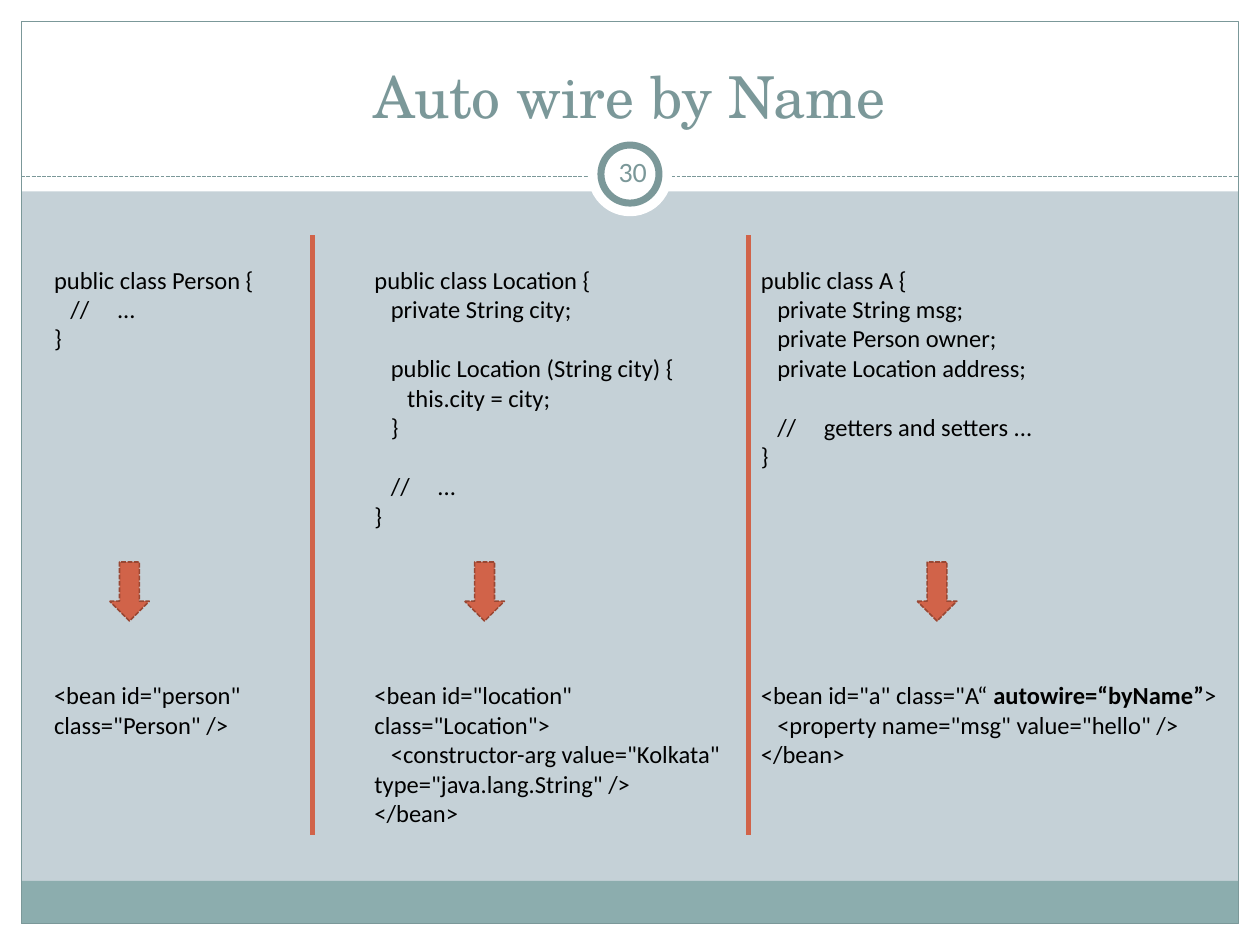
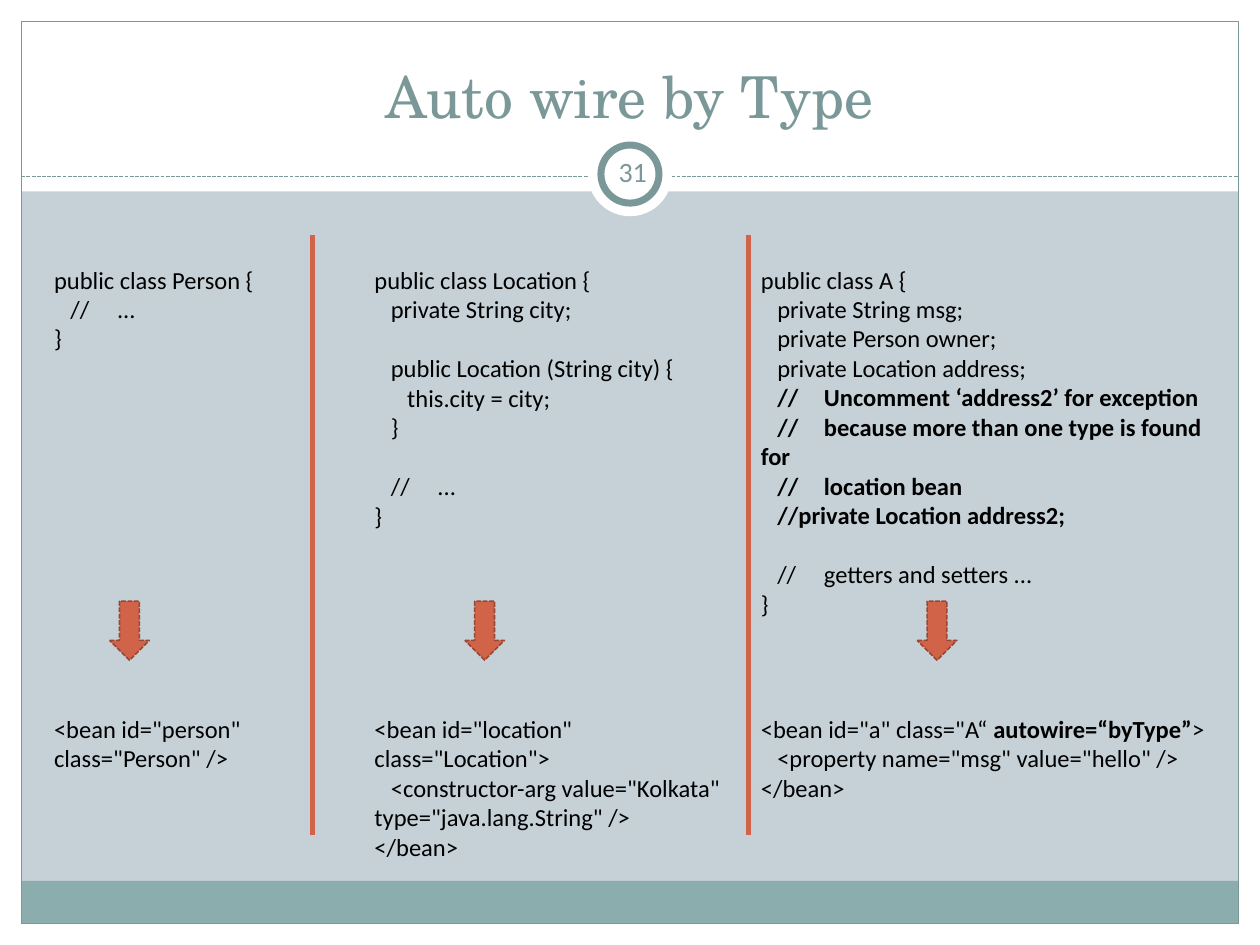
from dataclasses import dataclass

from lxml.etree import SubElement
from pptx import Presentation
from pptx.dml.color import RGBColor
from pptx.enum.dml import MSO_LINE as Dash
from pptx.enum.shapes import MSO_CONNECTOR as Connector, MSO_SHAPE as Preset
from pptx.enum.text import MSO_ANCHOR as Anchor, MSO_AUTO_SIZE as AutoSize, PP_ALIGN as Align
from pptx.oxml.ns import qn
from pptx.util import Cm, Pt

# Content: a code line is (indent level, text); ** switches bold, "" is a gap
GAP = (0, "")
PERSON_CLASS = [(0, "public class Person {"), (1, "//\t..."), (0, "}")]
PERSON_BEAN = [(0, '<bean id="person" class="Person" />')]
LOCATION_CLASS = [
    (0, "public class Location {"),
    (1, "private String city;"),
    GAP,
    (1, "public Location (String city) {"),
    (2, "this.city = city;"),
    (1, "}"),
    GAP,
    (1, "//\t..."),
    (0, "}"),
]
LOCATION_BEAN = [
    (0, '<bean id="location" class="Location">'),
    (1, '<constructor-arg value="Kolkata" type="java.lang.String" />'),
    (0, "</bean>"),
]
A_FIELDS = [
    (0, "public class A {"),
    (1, "private String msg;"),
    (1, "private Person owner;"),
    (1, "private Location address;"),
]
A_WARNING = [
    (1, "**//\tUncomment ‘address2’ for exception**"),
    (1, "**//\tbecause more than one type is found for**"),
    (1, "**//\tlocation bean**"),
    (1, "**//private Location address2;**"),
]
A_END = [GAP, (1, "//\tgetters and setters ..."), (0, "}")]


def a_bean(mode):
    return [
        (0, f'<bean id="a" class="A“ **autowire=“{mode}”**>'),
        (1, '<property name="msg" value="hello" />'),
        (0, "</bean>"),
    ]


SLIDES = [
    dict(title="Auto wire by Name", number="30", arrow_top=11.33, bean_top=13.59,
         a_class=A_FIELDS + A_END, a_class_width=8.61, a_bean=a_bean("byName")),
    dict(title="Auto wire by Type", number="31", arrow_top=12.12, bean_top=14.27,
         a_class=A_FIELDS + A_WARNING + A_END, a_class_width=10, a_bean=a_bean("byType")),
]


# Theme and measures (cm)
@dataclass(frozen=True)
class Theme:
    paper: str = "C5D1D7"
    white: str = "FFFFFF"
    slate: str = "7B9899"
    footer: str = "8CADAE"
    accent: str = "D16349"
    accent_edge: str = "994733"
    ink: str = "000000"
    title_font: str = "TeX Gyre Schola"
    body_font: str = "Calibri"
    title_size: float = 33
    number_size: float = 16
    code_size: float = 14


THEME = Theme()
WIDTH, HEIGHT = 25.4, 19.05
MARGIN = 0.43
HEADER_HEIGHT, FOOTER_HEIGHT = 3.86, 0.86
RULE_TOP = 3.56
RING_MIDDLE = 3.51
CLASS_TOP = 5.21
LINE_HEIGHT, BOX_PADDING = 0.59, 0.25
INDENT_STEP, COMMENT_TAB = 0.33, 1.05
ARROW_WIDTH, ARROW_HEIGHT = 0.8, 1.19
DIVIDERS = [6.3, 15.09]
DIVIDER_TOP, DIVIDER_BOTTOM = 4.74, 16.83


def color(value):
    return RGBColor.from_string(value)


def draw_line(line, stroke, weight, dash=None):
    line.color.rgb = color(stroke)
    line.width = Pt(weight)
    if dash:
        line.dash_style = dash


def add_preset(page, preset, left, top, width, height, fill=None, stroke=None, weight=0.75, dash=None):
    shape = page.shapes.add_shape(preset, Cm(left), Cm(top), Cm(width), Cm(height))
    shape.shadow.inherit = False
    if fill:
        shape.fill.solid()
        shape.fill.fore_color.rgb = color(fill)
    else:
        shape.fill.background()
    if stroke:
        draw_line(shape.line, stroke, weight, dash)
    else:
        shape.line.fill.background()


def add_line(page, start, end, stroke, weight, dash=None):
    line = page.shapes.add_connector(Connector.STRAIGHT, *map(Cm, start + end))
    draw_line(line.line, stroke, weight, dash)
    SubElement(line._element.spPr, qn("a:effectLst"))


def add_circle(page, diameter, **style):
    add_preset(page, Preset.OVAL, (WIDTH - diameter) / 2, RING_MIDDLE - diameter / 2,
               diameter, diameter, **style)


def add_box(page, left, top, width, height):
    box = page.shapes.add_textbox(Cm(left), Cm(top), Cm(width), Cm(height))
    box.text_frame.word_wrap = True
    return box.text_frame


def style_span(span, font, size, ink):
    span.font.name = font
    span.font.size = Pt(size)
    span.font.color.rgb = color(ink)


def add_label(page, text, place, anchor, font, size):
    frame = add_box(page, *place)
    frame.vertical_anchor = anchor
    frame.text = text
    para = frame.paragraphs[0]
    para.alignment = Align.CENTER
    style_span(para.runs[0], font, size, THEME.slate)
    return frame


def add_code(page, lines, left, top, width, rows):
    frame = add_box(page, left, top, width, BOX_PADDING + rows * LINE_HEIGHT)
    frame.auto_size = AutoSize.SHAPE_TO_FIT_TEXT
    para, gap = None, False
    for level, text in lines:
        if not text:
            gap = True
            continue
        para = frame.add_paragraph() if para else frame.paragraphs[0]
        if gap:
            para.space_before = Pt(17)
            gap = False
        # First-line indent keeps wrapped code at the left edge
        properties = para._p.get_or_add_pPr()
        properties.set("marL", "0")
        properties.set("indent", str(Cm(level * INDENT_STEP)))
        if "\t" in text:
            stops = SubElement(properties, qn("a:tabLst"))
            SubElement(stops, qn("a:tab"), pos=str(Cm(COMMENT_TAB)), algn="l")
        for position, part in enumerate(text.split("**")):
            if part:
                span = para.add_run()
                span.text = part
                style_span(span, THEME.body_font, THEME.code_size, THEME.ink)
                span.font.bold = position % 2 == 1


def add_frame(page, title, number):
    page.background.fill.solid()
    page.background.fill.fore_color.rgb = color(THEME.paper)
    inner_width = WIDTH - 2 * MARGIN
    footer_top = HEIGHT - MARGIN - FOOTER_HEIGHT

    # White margins, footer band and outline
    bands = [
        (0, HEIGHT - MARGIN, WIDTH, MARGIN, THEME.white),
        (0, 0, WIDTH, HEADER_HEIGHT, THEME.white),
        (0, 0, MARGIN, HEIGHT, THEME.white),
        (WIDTH - MARGIN, 0, MARGIN, HEIGHT, THEME.white),
        (MARGIN, footer_top, inner_width, FOOTER_HEIGHT, THEME.footer),
    ]
    for *place, fill in bands:
        add_preset(page, Preset.RECTANGLE, *place, fill=fill)
    add_preset(page, Preset.RECTANGLE, MARGIN, MARGIN, inner_width, HEIGHT - 2 * MARGIN,
               stroke=THEME.slate)

    # Header rule with the number ring
    add_line(page, (MARGIN, RULE_TOP), (WIDTH - MARGIN, RULE_TOP), THEME.slate, 0.75, Dash.SQUARE_DOT)
    add_circle(page, 1.7, fill=THEME.white)
    add_circle(page, 1.17, fill=THEME.white, stroke=THEME.slate, weight=4)

    # Title and page number
    add_label(page, title, (0.84, 0.64, 23.7, 2.11), Anchor.BOTTOM, THEME.title_font, THEME.title_size)
    frame = add_label(page, number, (12.12, 2.84, 1.27, 1.22), Anchor.MIDDLE,
                      THEME.body_font, THEME.number_size)
    frame.margin_left = frame.margin_right = Cm(0.13)


def add_columns(page, slide):
    # Left, arrow left, class lines and width, bean lines, width and shown rows
    columns = [
        (0.84, 2.21, PERSON_CLASS, 4.67, PERSON_BEAN, 4.67, 2),
        (7.3, 9.37, LOCATION_CLASS, 6.6, LOCATION_BEAN, 7.8, 5),
        (15.09, 18.49, slide["a_class"], slide["a_class_width"], slide["a_bean"], 9.8, 3),
    ]
    for left, arrow_left, class_lines, class_width, bean_lines, bean_width, bean_rows in columns:
        add_code(page, class_lines, left, CLASS_TOP, class_width, len(class_lines))
        add_code(page, bean_lines, left, slide["bean_top"], bean_width, bean_rows)
        add_preset(page, Preset.DOWN_ARROW, arrow_left, slide["arrow_top"], ARROW_WIDTH, ARROW_HEIGHT,
                   fill=THEME.accent, stroke=THEME.accent_edge, weight=0.91, dash=Dash.SQUARE_DOT)
    for x in DIVIDERS:
        add_line(page, (x, DIVIDER_TOP), (x, DIVIDER_BOTTOM), THEME.accent, 3)


def main():
    deck = Presentation()
    deck.slide_width, deck.slide_height = Cm(WIDTH), Cm(HEIGHT)
    for slide in SLIDES:
        page = deck.slides.add_slide(deck.slide_layouts[6])
        add_frame(page, slide["title"], slide["number"])
        add_columns(page, slide)
    deck.save("out.pptx")


if __name__ == "__main__":
    main()
